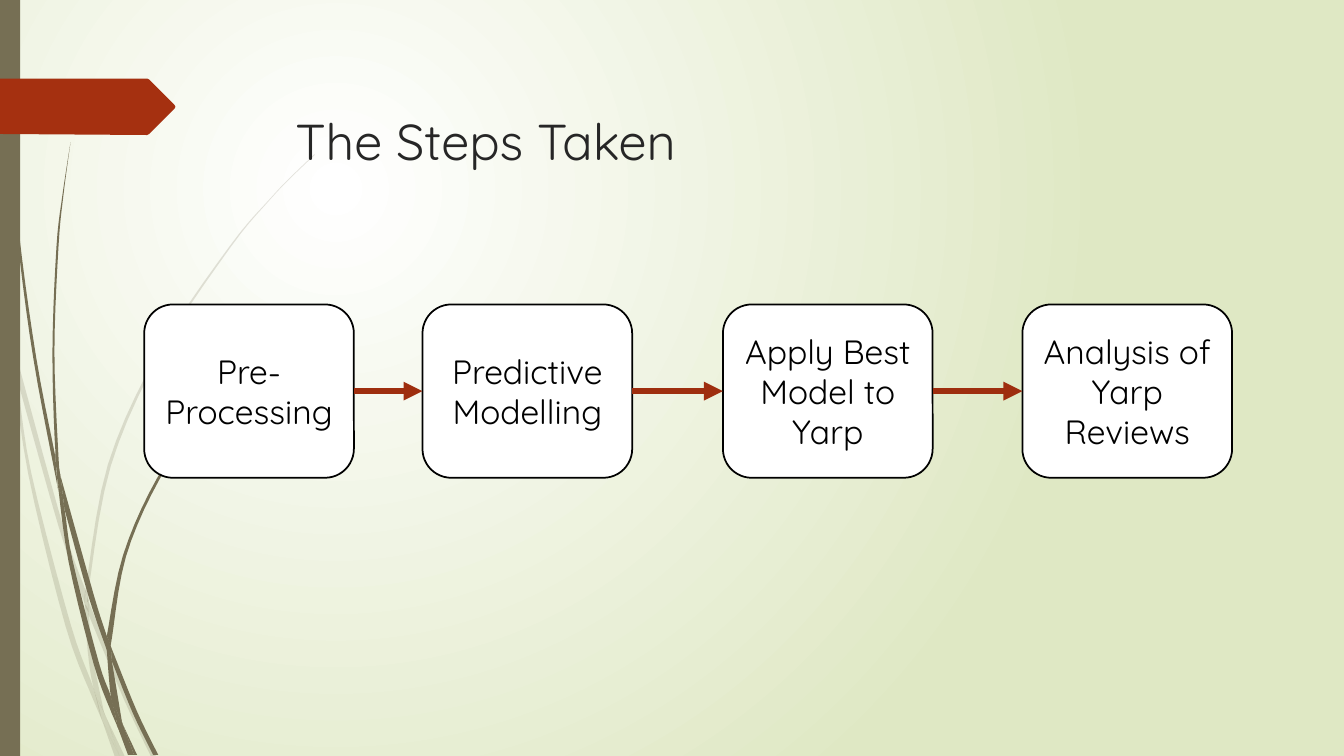
from dataclasses import dataclass
from itertools import pairwise

from lxml.etree import SubElement
from pptx import Presentation
from pptx.dml.color import RGBColor as RGB
from pptx.enum.shapes import MSO_CONNECTOR as LINE, MSO_SHAPE as SHAPE
from pptx.enum.text import MSO_ANCHOR as ANCHOR, PP_ALIGN as ALIGN
from pptx.oxml.ns import qn
from pptx.util import Inches, Pt

COLUMNS, ROWS, CELL = 1333, 750, Inches(0.01)


@dataclass(frozen=True)
class Theme:
    font: str = "Quicksand"
    title_size: int = 36
    step_size: int = 24
    title: str = "262626"
    ink: str = "000000"
    paper: str = "FFFFFF"
    meadow: str = "DFE8C4"
    stem: str = "766F54"
    tag: str = "A53010"
    arrow: str = "9E2E0F"
    outline: float = 1.25
    arrow_width: float = 4.5
    faint: int = 20


FAINT_BLADES = [
    ([(11, 350), (9, 322), (0, 282)], [(0, 299), (10, 344), (11, 350)]),
    ([(14, 345), (62, 520), (85, 586)], [(84, 599), (58, 522), (17, 376)]),
    ([(88, 596), (92, 607), (127, 692), (155, 751)],
     [(150, 751), (123, 694), (88, 610)]),
    ([(105, 711), (124, 751)], [(119, 751), (105, 711)]),
    ([(11, 350), (17, 376), (31, 469), (70, 619), (93, 683), (101, 714)],
     [(92, 693), (65, 621), (28, 470), (11, 350)]),
    ([(84, 599), (87, 646), (93, 683), (105, 711)],
     [(103, 706), (91, 646), (88, 608), (84, 599)]),
    ([(85, 586), (85, 584), (107, 461), (158, 348), (228, 244), (268, 197),
      (289, 175), (312, 153)],
     [(312, 154), (290, 175), (268, 198), (229, 245), (160, 349), (110, 462),
      (88, 584), (88, 596)]),
    ([(101, 714), (119, 751)], [(114, 751), (101, 714)]),
    ([(85, 586), (88, 596), (88, 610)], [(88, 608), (84, 599), (85, 586)]),
    ([(93, 683), (96, 692), (105, 711), (119, 751)],
     [(101, 714), (99, 707), (93, 683)]),
]

DARK_BLADES = [
    ([(3, 0), (4, 48), (7, 110), (17, 233), (33, 355), (56, 477), (57, 481)],
     [(55, 453), (36, 355), (19, 232), (8, 109), (5, 48), (4, 0)]),
    ([(60, 472), (93, 590), (106, 631)], [(106, 645), (88, 592), (64, 505)]),
    ([(110, 641), (113, 649), (136, 706), (157, 749)],
     [(152, 749), (132, 708), (111, 656)]),
    ([(57, 477), (64, 505), (72, 556), (98, 657), (110, 691), (117, 722)],
     [(111, 708), (93, 659), (68, 557), (57, 477)]),
    ([(60, 472), (58, 453), (54, 349), (58, 245), (63, 193), (70, 141)],
     [(70, 141), (62, 193), (56, 245), (52, 349), (55, 449), (60, 472)]),
    ([(122, 719), (136, 749)], [(133, 749), (122, 719)]),
    ([(55, 449), (60, 472), (64, 505)], [(57, 477), (55, 453), (55, 449)]),
    ([(106, 631), (122, 551), (156, 474), (204, 405), (231, 373), (245, 358),
      (260, 344)],
     [(261, 344), (245, 359), (231, 374), (205, 406), (158, 476), (125, 552),
      (111, 633), (110, 641)]),
    ([(117, 722), (131, 749)], [(127, 749), (117, 722)]),
    ([(106, 645), (110, 691), (116, 706), (122, 719)],
     [(121, 716), (111, 656), (109, 651), (106, 645)]),
    ([(106, 631), (110, 641), (111, 656)], [(109, 651), (106, 645), (106, 631)]),
    ([(110, 691), (116, 706), (122, 719), (133, 749)],
     [(130, 749), (117, 722), (116, 717), (110, 691)]),
]

TAG = [(0, 78), (146, 78), (148, 79), (173, 104), (174, 106), (173, 108),
       (148, 133), (146, 134), (0, 133)]

STEPS = [(143, "Pre-Processing"), (419, "Predictive Modelling"),
         (717, "Apply Best Model to Yarp"), (1014, "Analysis of Yarp Reviews")]


def smooth(edge, samples=5):
    points = [edge[0], *edge, edge[-1]]
    curve = [edge[0]]
    for a, b, c, d in zip(points, points[1:], points[2:], points[3:]):
        for i in range(1, samples + 1):
            t = i / samples
            curve.append(tuple(
                q + t / 2 * (r - p + t * (2 * p - 5 * q + 4 * r - u
                                          + t * (3 * (q - r) + u - p)))
                for p, q, r, u in zip(a, b, c, d)))
    return curve


class Deck:
    def __init__(self, theme):
        self.theme = theme
        self.prs = Presentation()
        self.prs.slide_width = COLUMNS * CELL
        self.prs.slide_height = ROWS * CELL
        self.s = self.prs.slides.add_slide(self.prs.slide_layouts[6])

    def background(self):
        fill = self.s.background.fill
        fill.gradient()
        colors = (self.theme.paper, self.theme.meadow)
        for position, (stop, color) in enumerate(zip(fill.gradient_stops, colors)):
            stop.color.rgb = RGB.from_string(color)
            stop.position = position
        lin = next(self.s.element.iter(qn("a:lin")))
        grad = lin.getparent()
        grad.remove(lin)
        circle = SubElement(grad, qn("a:path"), {"path": "circle"})
        SubElement(circle, qn("a:fillToRect"),
                   {"l": "50000", "t": "50000", "r": "100000", "b": "100000"})

    def paint(self, sp, color, line=None):
        sp.shadow.inherit = False
        sp.fill.solid()
        sp.fill.fore_color.rgb = RGB.from_string(color)
        if line:
            sp.line.color.rgb = RGB.from_string(line)
            sp.line.width = Pt(self.theme.outline)
        else:
            sp.line.fill.background()

    def label(self, sp, text, size, color, align, anchor):
        tf = sp.text_frame
        tf.word_wrap = True
        tf.vertical_anchor = anchor
        tf.text = text
        p = tf.paragraphs[0]
        p.alignment = align
        font = p.runs[0].font
        font.name, font.size = self.theme.font, Pt(size)
        font.color.rgb = RGB.from_string(color)

    def outline(self, points, color, opacity=100):
        start, *rest = [(round(x * CELL), round(y * CELL)) for x, y in points]
        builder = self.s.shapes.build_freeform(*start)
        builder.add_line_segments(rest)
        sp = builder.convert_to_shape()
        self.paint(sp, color)
        if opacity < 100:
            rgb = next(sp.element.spPr.iter(qn("a:srgbClr")))
            SubElement(rgb, qn("a:alpha"), val=str(opacity * 1000))
        return sp

    def grass(self, blades, opacity=100):
        stems = [self.outline(smooth(out) + smooth(back), self.theme.stem, opacity)
                 for out, back in blades]
        self.s.shapes.add_group_shape(stems)

    def shape(self, kind, col, row, cols, rows, color, line=None):
        sp = self.s.shapes.add_shape(kind, *(n * CELL for n in (col, row, cols, rows)))
        self.paint(sp, color, line)
        return sp

    def title(self, text, col, row, cols, rows):
        sp = self.s.shapes.add_textbox(*(n * CELL for n in (col, row, cols, rows)))
        self.label(sp, text, self.theme.title_size, self.theme.title,
                   ALIGN.LEFT, ANCHOR.TOP)

    def step(self, text, col):
        sp = self.shape(SHAPE.ROUNDED_RECTANGLE, col, 302, 208, 172,
                        self.theme.paper, self.theme.ink)
        self.label(sp, text, self.theme.step_size, self.theme.ink,
                   ALIGN.CENTER, ANCHOR.MIDDLE)
        return sp

    def arrow(self, source, target):
        link = self.s.shapes.add_connector(LINE.STRAIGHT, 0, 0, 0, 0)
        link.begin_connect(source, 3)
        link.end_connect(target, 1)
        link.line.color.rgb = RGB.from_string(self.theme.arrow)
        link.line.width = Pt(self.theme.arrow_width)
        props = link.element.spPr
        SubElement(props.find(qn("a:ln")), qn("a:tailEnd"), type="triangle")
        SubElement(props, qn("a:effectLst"))


def main():
    theme = Theme()
    deck = Deck(theme)
    deck.background()
    deck.grass(FAINT_BLADES, theme.faint)
    deck.grass(DARK_BLADES)
    deck.shape(SHAPE.RECTANGLE, 0, 0, 20, ROWS, theme.stem)
    deck.outline(TAG, theme.tag)
    deck.title("The Steps Taken", 283, 104, 975, 101)
    boxes = [deck.step(text, col) for col, text in STEPS]
    for source, target in pairwise(boxes):
        deck.arrow(source, target)
    deck.prs.save("out.pptx")


if __name__ == "__main__":
    main()
